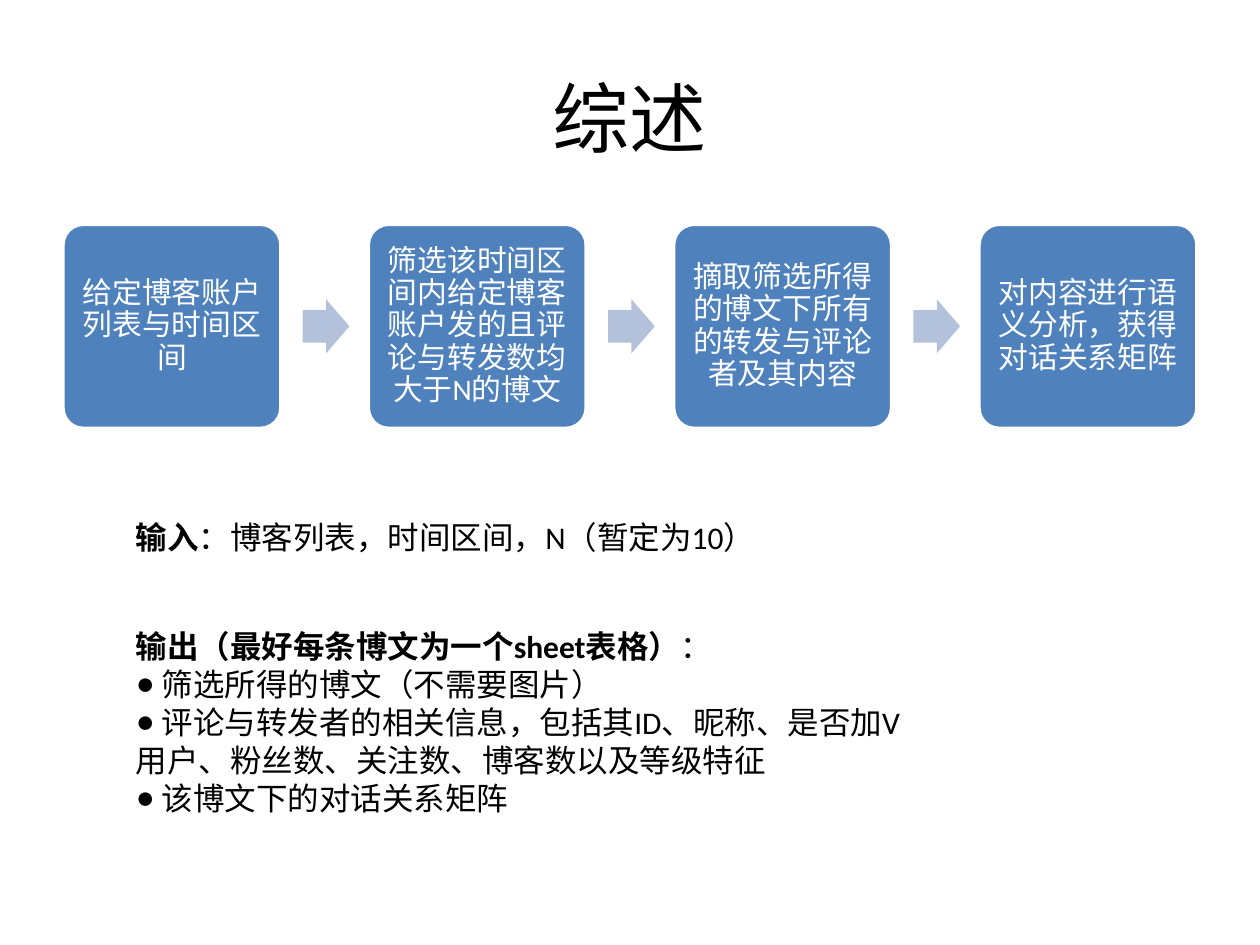
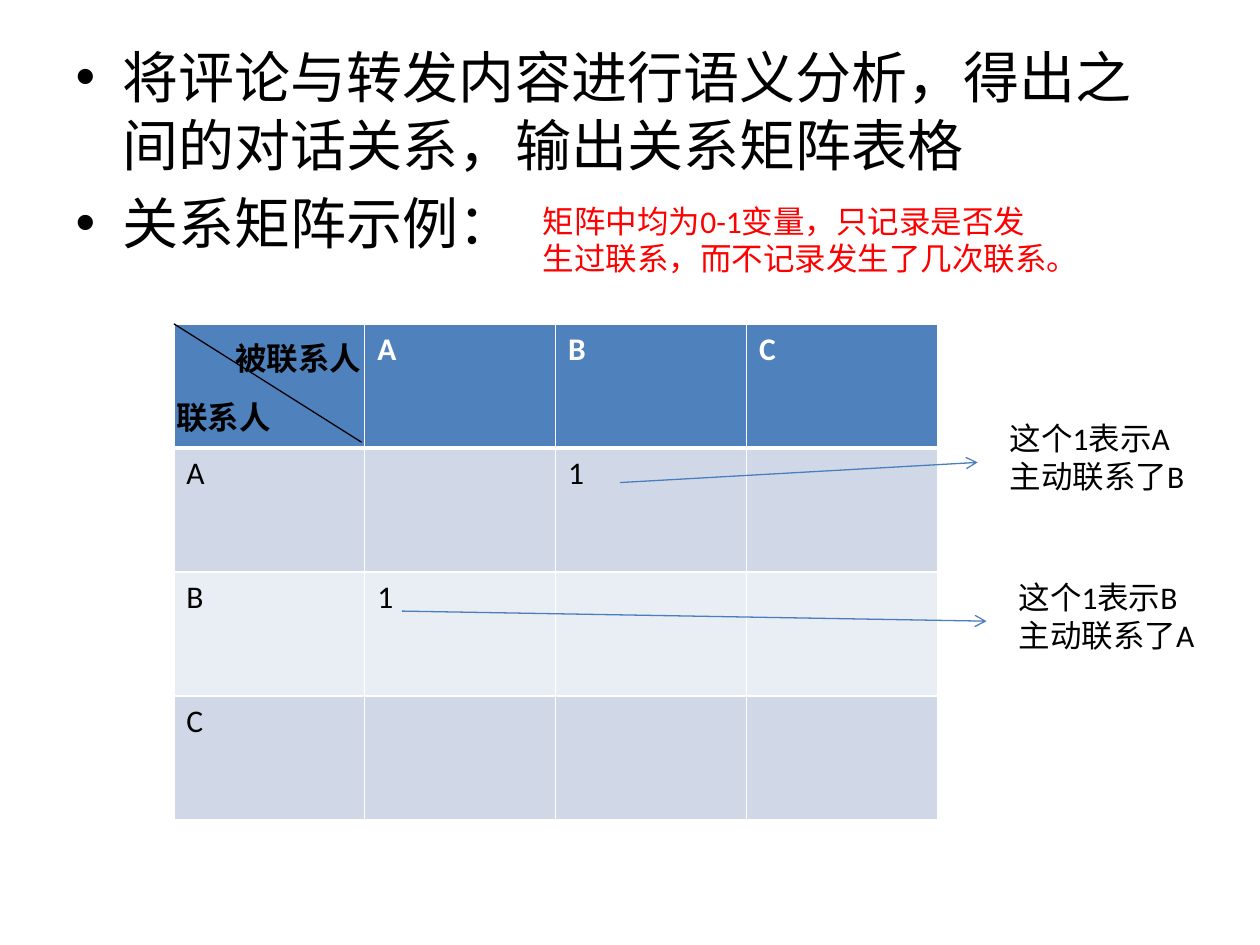
import collections

import pptx
import pptx.dml.color
import pptx.enum.dml
import pptx.enum.shapes
import pptx.enum.text
import pptx.oxml
import pptx.oxml.ns
import pptx.util

COLUMNS, ROWS = 20, 15
WIDTH, HEIGHT = pptx.util.Inches(10), pptx.util.Inches(7.5)
FONT = "Calibri"
BLUE, PALE_BLUE, LINE_BLUE = "4F81BD", "B3C1DB", "4B7EBC"
BANDS = ("D0D8E8", "E9EDF4")
BLACK, WHITE, RED = "000000", "FFFFFF", "FF0000"
SHAPES = pptx.enum.shapes.MSO_SHAPE
ALIGN = pptx.enum.text.PP_ALIGN
ANCHOR = pptx.enum.text.MSO_ANCHOR
NAMESPACE = pptx.oxml.ns.nsdecls("a")

STEPS = (
    "给定博客账户列表与时间区间",
    "筛选该时间区间内给定博客账户发的且评论与转发数均大于N的博文",
    "摘取筛选所得的博文下所有的转发与评论者及其内容",
    "对内容进行语义分析，获得对话关系矩阵",
)
OUTPUTS = (
    "筛选所得的博文（不需要图片）",
    "评论与转发者的相关信息，包括其ID、昵称、是否加V用户、粉丝数、关注数、博客数以及等级特征",
    "该博文下的对话关系矩阵",
)
MATRIX = (
    ("", "A", "B", "C"),
    ("A", "", "1", ""),
    ("B", "1", "", ""),
    ("C", "", "", ""),
)


class Box(collections.namedtuple("Box", "left top width height")):
    def inside(self, left, top, width, height):
        return Box(self.left + left, self.top + top, width, height)

    def lengths(self):
        return (column(self.left), row(self.top), column(self.width), row(self.height))


def column(count):
    return round(WIDTH * count / COLUMNS)


def row(count):
    return round(HEIGHT * count / ROWS)


def colour(value):
    return pptx.dml.color.RGBColor.from_string(value)


def format_run(run, size, value=BLACK, bold=False):
    run.font.name = FONT
    run.font.size = pptx.util.Pt(size)
    run.font.bold = bold
    run.font.color.rgb = colour(value)


def format_paragraphs(text_frame, size, value=BLACK, bold=False):
    for paragraph in text_frame.paragraphs:
        for run in paragraph.runs:
            format_run(run, size, value, bold)


def add_text(slide, box, text, value=BLACK, bold=False):
    text_frame = slide.shapes.add_textbox(*box.lengths()).text_frame
    text_frame.word_wrap = True
    text_frame.auto_size = pptx.enum.text.MSO_AUTO_SIZE.SHAPE_TO_FIT_TEXT
    text_frame.text = text
    format_paragraphs(text_frame, 18, value, bold)
    return text_frame


def add_labelled_text(slide, box, label, rest):
    text_frame = add_text(slide, box, label, bold=True)
    run = text_frame.paragraphs[0].add_run()
    run.text = rest
    format_run(run, 18)
    return text_frame


def add_bullet(paragraph, symbol):
    properties = paragraph._p.get_or_add_pPr()
    for tag in ('buFont typeface="Arial"', f'buChar char="{symbol}"'):
        properties.append(pptx.oxml.parse_xml(f"<a:{tag} {NAMESPACE}/>"))


def add_bottom_border(cell, value, points):
    border = pptx.oxml.parse_xml(
        f'<a:lnB {NAMESPACE} w="{pptx.util.Pt(points)}"><a:solidFill>'
        f'<a:srgbClr val="{value}"/></a:solidFill></a:lnB>'
    )
    cell._tc.get_or_add_tcPr().insert(0, border)


def add_block(slide, kind, box, fill, adjustments):
    shape = slide.shapes.add_shape(kind, *box.lengths())
    shape.shadow.inherit = False
    shape.fill.solid()
    shape.fill.fore_color.rgb = colour(fill)
    shape.line.fill.background()
    for index, adjustment in enumerate(adjustments):
        shape.adjustments[index] = adjustment
    return shape


def add_line(slide, box, start, end, value, arrow=False):
    connector = slide.shapes.add_connector(
        pptx.enum.shapes.MSO_CONNECTOR.STRAIGHT,
        column(box.left + start[0]), row(box.top + start[1]),
        column(box.left + end[0]), row(box.top + end[1]),
    )
    connector.line.color.rgb = colour(value)
    connector.line.width = pptx.util.Pt(0.75)
    if arrow:
        head = pptx.oxml.parse_xml(f'<a:tailEnd {NAMESPACE} type="arrow"/>')
        connector.line._get_or_add_ln().append(head)
    connector._element.spPr.append(pptx.oxml.parse_xml(f"<a:effectLst {NAMESPACE}/>"))


def place(shape, box):
    shape.left, shape.top, shape.width, shape.height = box.lengths()


def add_title(slide, box, text):
    title = slide.shapes.title
    place(title, box)
    title.text_frame.text = text
    title.text_frame.vertical_anchor = ANCHOR.MIDDLE
    title.text_frame.paragraphs[0].alignment = ALIGN.CENTER
    format_paragraphs(title.text_frame, 44)


def add_process(slide, box):
    step_width, arrow_width, arrow_height = 3.46, 0.74, 0.86
    pitch = (box.width - step_width) / (len(STEPS) - 1)
    arrow_left = step_width + (pitch - step_width) / 4
    arrow_top = (box.height - arrow_height) / 2
    for index, text in enumerate(STEPS):
        step_box = box.inside(index * pitch, 0, step_width, box.height)
        step = add_block(slide, SHAPES.ROUNDED_RECTANGLE, step_box, BLUE, [0.1])
        step.line.color.rgb = colour(WHITE)
        step.line.width = pptx.util.Pt(2)
        text_frame = step.text_frame
        text_frame.word_wrap = True
        text_frame.vertical_anchor = ANCHOR.MIDDLE
        text_frame.margin_left = text_frame.margin_right = pptx.util.Inches(0.02)
        text_frame.margin_top = text_frame.margin_bottom = pptx.util.Inches(0.02)
        text_frame.text = text
        text_frame.paragraphs[0].alignment = ALIGN.CENTER
        text_frame.paragraphs[0].line_spacing = 0.9
        format_paragraphs(text_frame, 17, WHITE)
        if index < len(STEPS) - 1:
            arrow_box = step_box.inside(arrow_left, arrow_top, arrow_width, arrow_height)
            add_block(slide, SHAPES.RIGHT_ARROW, arrow_box, PALE_BLUE, [0.6, 0.5])


def add_inputs_and_outputs(slide, box):
    add_labelled_text(
        slide, box.inside(0, 0, 11.5, 0.8), "输入", "：博客列表，时间区间，N（暂定为10）"
    )
    text_frame = add_labelled_text(
        slide, box.inside(0, 1.74, box.width, 3.24),
        "输出（最好每条博文为一个sheet表格）", "：",
    )
    for output in OUTPUTS:
        paragraph = text_frame.add_paragraph()
        paragraph.text = f" {output}"
        format_run(paragraph.runs[0], 18)
        add_bullet(paragraph, "●")


def add_body(slide, box):
    title = slide.shapes.title
    title._element.getparent().remove(title._element)
    body = slide.placeholders[1]
    place(body, box)
    body.text_frame.text = "将评论与转发内容进行语义分析，得出之间的对话关系，输出关系矩阵表格"
    body.text_frame.add_paragraph().text = "关系矩阵示例："
    format_paragraphs(body.text_frame, 32)


def add_matrix(slide, box):
    table = slide.shapes.add_table(len(MATRIX), len(MATRIX[0]), *box.lengths()).table
    for row_index, values in enumerate(MATRIX):
        header = row_index == 0
        for column_index, value in enumerate(values):
            cell = table.cell(row_index, column_index)
            cell.fill.solid()
            cell.fill.fore_color.rgb = colour(BLUE if header else BANDS[(row_index - 1) % 2])
            cell.text_frame.text = value
            format_paragraphs(cell.text_frame, 18, WHITE if header else BLACK, header)
            add_bottom_border(cell, WHITE, 3 if header else 1)
    add_line(slide, box, (0, 0), (2.98, 1.88), BLACK)
    add_text(slide, box.inside(-0.16, 1.08, 2.52, 0.8), "联系人", bold=True)
    add_text(slide, box.inside(0.78, 0.14, 2.84, 0.8), "被联系人", bold=True)


def add_callout(slide, box, start, end, text):
    add_line(slide, box, start, end, LINE_BLUE, arrow=True)
    add_text(slide, box.inside(end[0] + 0.31, end[1] - 0.78, 3.35, 1.42), text)


def add_overview_slide(presentation):
    slide = presentation.slides.add_slide(presentation.slide_layouts.get_by_name("Title Only"))
    add_title(slide, Box(1, 0.6, 18, 2.5), "综述")
    add_process(slide, Box(1, 3.56, 18, 3.24))
    add_inputs_and_outputs(slide, Box(1.96, 8.12, 12.6, 4.98))


def add_matrix_slide(presentation):
    layout = presentation.slide_layouts.get_by_name("Title and Content")
    slide = presentation.slides.add_slide(layout)
    add_body(slide, Box(1, 0.58, 18, 12.82))
    matrix_box = Box(2.76, 5.14, 12.12, 7.88)
    add_matrix(slide, matrix_box)
    add_callout(slide, matrix_box, (7.08, 2.52), (12.76, 2.2), "这个1表示A主动联系了B")
    add_callout(slide, matrix_box, (3.62, 4.56), (12.9, 4.72), "这个1表示B主动联系了A")
    add_text(
        slide, Box(8.42, 3.1, 8.5, 1.42),
        "矩阵中均为0-1变量，只记录是否发生过联系，而不记录发生了几次联系。", RED,
    )


def main():
    presentation = pptx.Presentation()
    presentation.slide_width, presentation.slide_height = WIDTH, HEIGHT
    add_overview_slide(presentation)
    add_matrix_slide(presentation)
    presentation.save("out.pptx")


if __name__ == "__main__":
    main()
